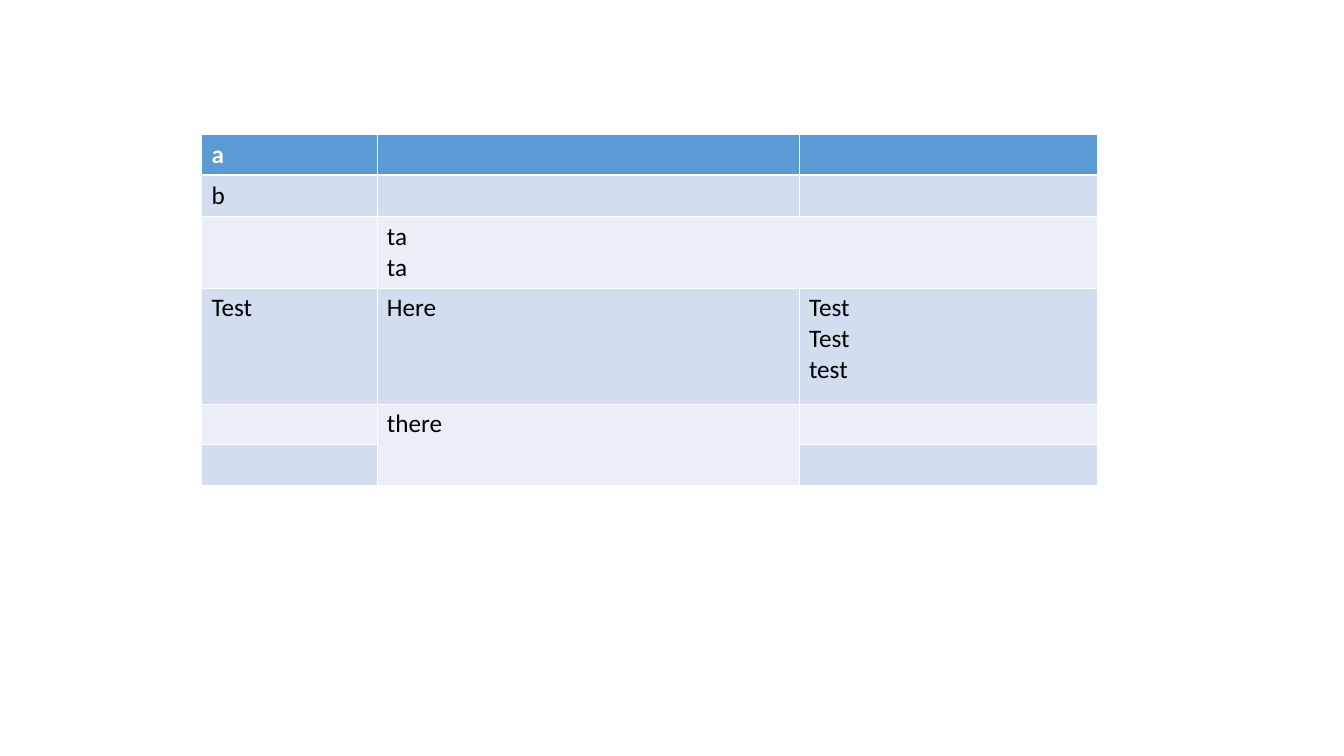
from lxml.etree import SubElement
from pptx import Presentation
from pptx.dml.color import RGBColor
from pptx.oxml.ns import qn
from pptx.util import Cm, Pt

HEADER, BAND_DARK, BAND_LIGHT = "5B9BD5", "D2DEEF", "EAEFF7"
WHITE, BLACK = "FFFFFF", "000000"


def rgb(value):
    return RGBColor.from_string(value)


def write(frame, text, font="Calibri", size=18, color=BLACK, bold=False):
    """Fill a text frame, one paragraph for each line of text."""
    frame.text = text
    for paragraph in frame.paragraphs:
        paragraph.font.size = Pt(size)
        for run in paragraph.runs:
            run.font.name = font
            run.font.size = Pt(size)
            run.font.bold = bold
            run.font.color.rgb = rgb(color)


class SlideBuilder:
    thin, thick = 0.45, 1.47

    def __init__(self, slide):
        self.slide = slide

    def border(self, cell, **widths):
        properties = cell._tc.get_or_add_tcPr()
        for side in "LRTB":
            width = widths.get(side, self.thin)
            line = SubElement(properties, qn(f"a:ln{side}"), w=str(Pt(width)))
            fill = SubElement(line, qn("a:solidFill"))
            SubElement(fill, qn("a:srgbClr"), val=WHITE)

    def table(self, left, top, widths, heights, texts, merges):
        grid = self.slide.shapes.add_table(
            len(heights), len(widths), Cm(left), Cm(top),
            Cm(sum(widths)), Cm(sum(heights))).table
        for column, width in zip(grid.columns, widths):
            column.width = Cm(width)
        for row, height in zip(grid.rows, heights):
            row.height = Cm(height)

        for r in range(len(heights)):
            header = r == 0
            band = HEADER if header else BAND_DARK if r % 2 else BAND_LIGHT
            # The rule under the header is thicker than the others
            heavy = {0: {"B": self.thick}, 1: {"T": self.thick}}.get(r, {})
            for c in range(len(widths)):
                cell = grid.cell(r, c)
                self.border(cell, **heavy)
                cell.fill.solid()
                cell.fill.fore_color.rgb = rgb(band)
                write(cell.text_frame, texts.get((r, c), ""),
                      color=WHITE if header else BLACK, bold=header)

        for first, last in merges:
            grid.cell(*first).merge(grid.cell(*last))


def main():
    deck = Presentation()
    deck.slide_width, deck.slide_height = Cm(33.88), Cm(19.05)
    builder = SlideBuilder(deck.slides.add_slide(deck.slide_layouts[6]))

    # Table with one cell merged across and one merged down
    builder.table(
        left=5.08, top=3.39,
        widths=[4.42, 10.64, 7.52],
        heights=[1.03, 1.03, 1.79, 2.92, 1.03, 1.03],
        texts={
            (0, 0): "a",
            (1, 0): "b",
            (2, 1): "ta\nta",
            (3, 0): "Test",
            (3, 1): "Here",
            (3, 2): "Test\nTest\ntest",
            (4, 1): "there",
        },
        merges=[((2, 1), (2, 2)), ((4, 1), (5, 1))])

    deck.save("out.pptx")


if __name__ == "__main__":
    main()
